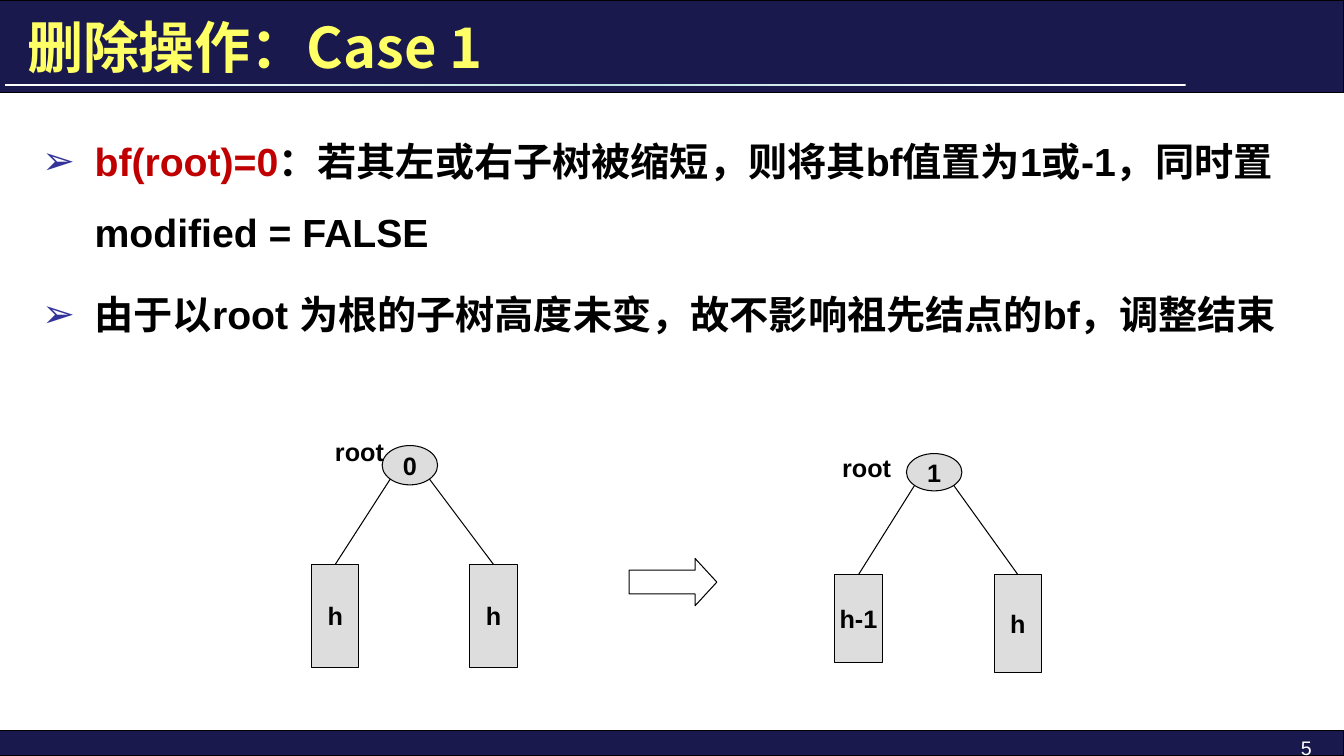
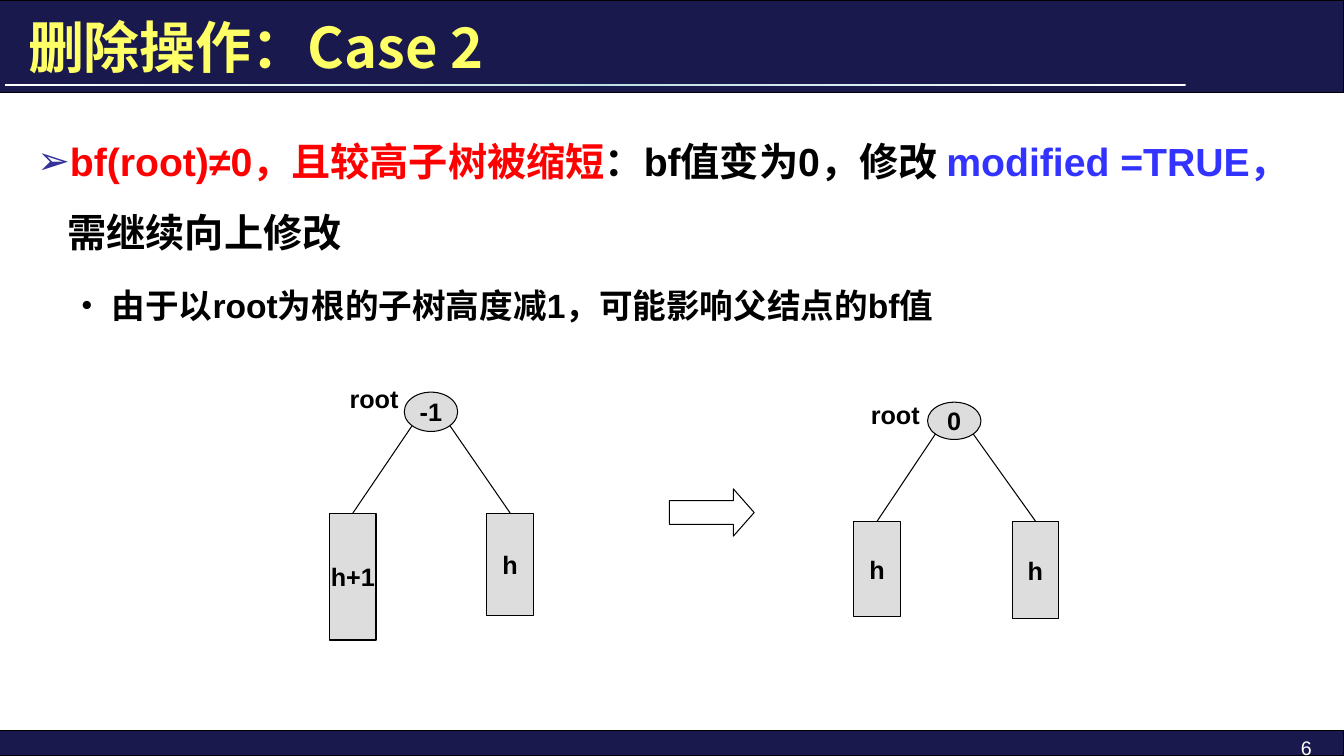
"""Build two slides on the balance factor cases of AVL tree deletion."""
from copy import deepcopy
from dataclasses import dataclass
from math import sqrt

from lxml import etree
from pptx import Presentation
from pptx.dml.color import RGBColor
from pptx.enum.shapes import MSO_CONNECTOR, MSO_SHAPE
from pptx.enum.text import MSO_ANCHOR, PP_ALIGN
from pptx.oxml.ns import qn
from pptx.util import Inches, Pt

RECTANGLE = MSO_SHAPE.RECTANGLE
OVAL = MSO_SHAPE.OVAL
RIGHT_ARROW = MSO_SHAPE.RIGHT_ARROW
STRAIGHT = MSO_CONNECTOR.STRAIGHT
TOP, MIDDLE, BOTTOM = MSO_ANCHOR.TOP, MSO_ANCHOR.MIDDLE, MSO_ANCHOR.BOTTOM
LEFT, CENTER, RIGHT = PP_ALIGN.LEFT, PP_ALIGN.CENTER, PP_ALIGN.RIGHT

NAVY = RGBColor(0x19, 0x19, 0x4D)
YELLOW = RGBColor(0xFF, 0xFF, 0x66)
PALE_TEAL = RGBColor(0xBB, 0xE0, 0xE3)
INDIGO = RGBColor(0x33, 0x33, 0x99)
BLUE = RGBColor(0x33, 0x33, 0xFF)
DARK_RED = RGBColor(0xC0, 0x00, 0x00)
RED = RGBColor(0xFF, 0x00, 0x00)
GRAY = RGBColor(0xDD, 0xDD, 0xDD)
BLACK = RGBColor(0x00, 0x00, 0x00)
WHITE = RGBColor(0xFF, 0xFF, 0xFF)

LATIN_FONT = "Arial"
CHINESE_FONT = "Noto Sans CJK SC"
SLIDE_WIDTH, SLIDE_HEIGHT = 13.33, 7.5
FOOTER_HEIGHT = 0.25
LINE_WIDTH = Pt(0.75)


@dataclass(frozen=True)
class Box:
    """A rectangle in inches."""
    left: float
    top: float
    width: float
    height: float

    def lengths(self):
        """Return left, top, width and height as lengths."""
        return tuple(map(Inches, (self.left, self.top, self.width, self.height)))


@dataclass(frozen=True)
class Bullet:
    """A bulleted paragraph made of text and colour pieces."""
    pieces: tuple
    indent: float
    hanging: float
    size: int = 28
    level: int = 0
    mark: str = "➢"
    mark_color: RGBColor = INDIGO
    mark_percent: int = 100


@dataclass(frozen=True)
class Leaf:
    """A subtree box below a root."""
    text: str
    left: float
    height: float


@dataclass(frozen=True)
class Tree:
    """A root with its label and two subtrees."""
    balance: str
    root: Box
    label: Box
    leaf_top: float
    leaf_width: float
    leaves: tuple


@dataclass(frozen=True)
class CaseSlide:
    """The content of one deletion case."""
    number: int
    title: str
    title_box: Box
    title_anchor: MSO_ANCHOR
    body_box: Box
    bullets: tuple
    trees: tuple
    arrow: Box
    arrow_head: float


CASES = (
    CaseSlide(
        5, "删除操作：Case 1", Box(0.17, 0.12, 10.58, 0.67), BOTTOM,
        Box(0.32, 1.08, 12.69, 3.07),
        (
            Bullet((("bf(root)=0", DARK_RED),
                    ("：若其左或右子树被缩短，则将其bf值置为1或-1，同时置modified = FALSE", BLACK)),
                   0.52, 0.52),
            Bullet((("由于以root 为根的子树高度未变，故不影响祖先结点的bf，调整结束", BLACK),),
                   0.52, 0.52),
        ),
        (
            Tree("0", Box(3.79, 4.42, 0.55, 0.39), Box(3.17, 4.28, 0.79, 0.4), 5.6, 0.47,
                 (Leaf("h", 3.09, 1.02), Leaf("h", 4.66, 1.02))),
            Tree("1", Box(8.99, 4.5, 0.55, 0.37), Box(8.2, 4.44, 0.79, 0.4), 5.7, 0.47,
                 (Leaf("h-1", 8.28, 0.87), Leaf("h", 9.86, 0.97))),
        ),
        Box(6.24, 5.54, 0.87, 0.47), 0.46,
    ),
    CaseSlide(
        6, "删除操作：Case 2", Box(0.18, 0.11, 9.74, 0.7), MIDDLE,
        Box(0.27, 1.08, 12.72, 2.35),
        (
            Bullet((("bf(root)≠0，且较高子树被缩短", RED), ("：bf值变为0，修改 ", BLACK),
                    ("modified =TRUE，", BLUE), ("需继续向上修改", BLACK)),
                   0.3, 0.3),
            Bullet((("由于以root为根的子树高度减1，可能影响父结点的bf值", BLACK),),
                   0.74, 0.3, 24, 1, "•", BLACK, 90),
        ),
        (
            Tree("-1", Box(4.01, 3.89, 0.53, 0.39), Box(3.33, 3.75, 0.76, 0.4), 5.09, 0.46,
                 (Leaf("h+1", 3.27, 1.26), Leaf("h", 4.83, 1.02))),
            Tree("0", Box(9.2, 3.99, 0.53, 0.37), Box(8.5, 3.91, 0.76, 0.4), 5.17, 0.46,
                 (Leaf("h", 8.47, 0.95), Leaf("h", 10.04, 0.97))),
        ),
        Box(6.64, 4.85, 0.84, 0.47), 0.44,
    ),
)


def format_run(run, size: float, color: RGBColor, bold: bool = True,
               latin: str = LATIN_FONT) -> None:
    """Set the size, colour, weight and both fonts of a run."""
    run.font.size = Pt(size)
    run.font.bold = bold
    run.font.name = latin
    run.font.color.rgb = color
    east_asian = etree.Element(qn("a:ea"), typeface=CHINESE_FONT)
    run.font._element.find(qn("a:latin")).addnext(east_asian)


def write_line(shape, text: str, size: float, color: RGBColor, alignment, anchor,
               bold: bool = True, latin: str = LATIN_FONT, wrap: bool = True) -> None:
    """Write a single formatted paragraph into a shape."""
    text_frame = shape.text_frame
    text_frame.text = text
    text_frame.word_wrap = wrap
    text_frame.vertical_anchor = anchor
    paragraph = text_frame.paragraphs[0]
    paragraph.alignment = alignment
    format_run(paragraph.runs[0], size, color, bold, latin)


def add_filled_shape(slide, kind, box: Box, fill: RGBColor):
    """Add a flat shape with a thin black outline."""
    shape = slide.shapes.add_shape(kind, *box.lengths())
    shape.shadow.inherit = False
    shape.fill.solid()
    shape.fill.fore_color.rgb = fill
    shape.line.color.rgb = BLACK
    shape.line.width = LINE_WIDTH
    return shape


def add_divider(slide) -> None:
    """Draw the gradient rule under the title."""
    divider = add_filled_shape(slide, RECTANGLE, Box(0.05, 0.83, 11.71, 0.02), WHITE)
    divider.line.fill.background()
    divider.fill.gradient()
    divider.fill.gradient_angle = 0
    stop_list = divider.element.spPr.find(f".//{qn('a:gsLst')}")
    stop_list.insert(1, deepcopy(stop_list[0]))
    colors = (WHITE, PALE_TEAL, WHITE)
    for index, (stop, color) in enumerate(zip(divider.fill.gradient_stops, colors)):
        stop.position = index / 2
        stop.color.rgb = color


def add_frame(slide, case: CaseSlide) -> None:
    """Draw the bands, divider, slide number and title."""
    footer_top = SLIDE_HEIGHT - FOOTER_HEIGHT
    add_filled_shape(slide, RECTANGLE, Box(0, footer_top, SLIDE_WIDTH, FOOTER_HEIGHT), NAVY)
    add_filled_shape(slide, RECTANGLE, Box(0, 0, SLIDE_WIDTH, 0.92), NAVY)
    add_divider(slide)
    number = slide.shapes.add_textbox(*Box(11.11, footer_top, 2, FOOTER_HEIGHT).lengths())
    write_line(number, str(case.number), 14, WHITE, RIGHT, TOP, bold=False)
    title = slide.shapes.add_textbox(*case.title_box.lengths())
    title.text_frame.margin_top = title.text_frame.margin_bottom = 0
    write_line(title, case.title, 40, YELLOW, LEFT, case.title_anchor, latin=CHINESE_FONT)


def add_bullet_mark(paragraph, bullet: Bullet) -> None:
    """Set the indents and the bullet character of a paragraph."""
    properties = paragraph._p.get_or_add_pPr()
    properties.set("marL", str(Inches(bullet.indent)))
    properties.set("indent", str(-Inches(bullet.hanging)))
    color = etree.SubElement(properties, qn("a:buClr"))
    etree.SubElement(color, qn("a:srgbClr"), val=str(bullet.mark_color))
    etree.SubElement(properties, qn("a:buSzPct"), val=str(bullet.mark_percent * 1000))
    etree.SubElement(properties, qn("a:buFont"), typeface=LATIN_FONT)
    etree.SubElement(properties, qn("a:buChar"), char=bullet.mark)


def add_body(slide, box: Box, bullets: tuple) -> None:
    """Write the bulleted explanation."""
    text_frame = slide.shapes.add_textbox(*box.lengths()).text_frame
    text_frame.word_wrap = True
    for index, bullet in enumerate(bullets):
        paragraph = text_frame.add_paragraph() if index else text_frame.paragraphs[0]
        paragraph.level = bullet.level
        paragraph.line_spacing = 1.5
        paragraph.space_before = Pt(bullet.size * 0.3)
        add_bullet_mark(paragraph, bullet)
        for text, color in bullet.pieces:
            run = paragraph.add_run()
            run.text = text
            format_run(run, bullet.size, color)


def add_node(slide, kind, box: Box, text: str):
    """Draw a gray tree node with centred text."""
    node = add_filled_shape(slide, kind, box, GRAY)
    write_line(node, text, 18, BLACK, CENTER, MIDDLE, wrap=False)
    return node


def add_edge(slide, start_x: float, start_y: float, leaf) -> None:
    """Connect a point on the root to the top of a leaf."""
    start = Inches(start_x), Inches(start_y)
    edge = slide.shapes.add_connector(STRAIGHT, *start, *start)
    edge.end_connect(leaf, 0)
    edge.line.color.rgb = BLACK
    edge.line.width = LINE_WIDTH
    etree.SubElement(edge.element.spPr, qn("a:effectLst"))


def add_tree(slide, tree: Tree) -> None:
    """Draw a root, its label, its subtrees and the edges between them."""
    root = tree.root
    add_node(slide, OVAL, root, tree.balance)
    diagonal = 1 / sqrt(2)
    start_y = root.top + root.height / 2 * (1 + diagonal)
    for leaf, side in zip(tree.leaves, (-1, 1)):
        box = Box(leaf.left, tree.leaf_top, tree.leaf_width, leaf.height)
        node = add_node(slide, RECTANGLE, box, leaf.text)
        start_x = root.left + root.width / 2 * (1 + side * diagonal)
        add_edge(slide, start_x, start_y, node)
    label = slide.shapes.add_textbox(*tree.label.lengths())
    write_line(label, "root", 18, BLACK, CENTER, TOP)


def add_case_slide(presentation, case: CaseSlide) -> None:
    """Add one complete deletion case slide."""
    slide = presentation.slides.add_slide(presentation.slide_layouts[6])
    add_frame(slide, case)
    add_body(slide, case.body_box, case.bullets)
    for tree in case.trees:
        add_tree(slide, tree)
    arrow = add_filled_shape(slide, RIGHT_ARROW, case.arrow, WHITE)
    arrow.adjustments[1] = case.arrow_head


def main() -> None:
    """Build and save the presentation."""
    presentation = Presentation()
    presentation.slide_width = Inches(SLIDE_WIDTH)
    presentation.slide_height = Inches(SLIDE_HEIGHT)
    for case in CASES:
        add_case_slide(presentation, case)
    presentation.save("out.pptx")


if __name__ == "__main__":
    main()
